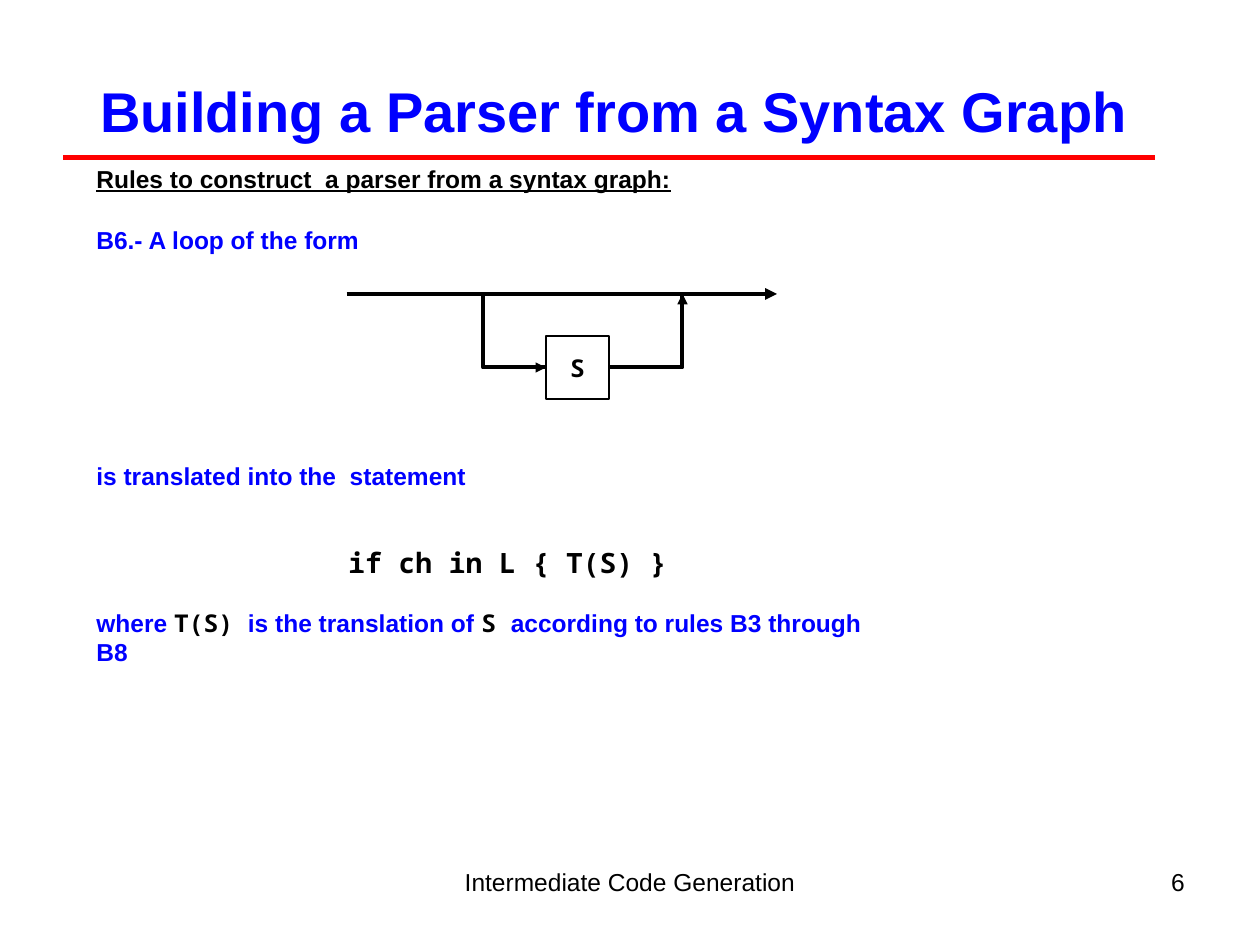
from lxml import etree
from pptx import Presentation
from pptx.dml.color import RGBColor
from pptx.enum.shapes import MSO_CONNECTOR, MSO_SHAPE
from pptx.enum.text import MSO_ANCHOR, PP_ALIGN
from pptx.oxml.ns import qn
from pptx.util import Pt

LINE, RECT = MSO_CONNECTOR.STRAIGHT, MSO_SHAPE.RECTANGLE
MID, TOP = MSO_ANCHOR.MIDDLE, MSO_ANCHOR.TOP
LEFT, MIDDLE, RIGHT = PP_ALIGN.LEFT, PP_ALIGN.CENTER, PP_ALIGN.RIGHT

HUES = {"blue": "0000FF", "red": "FF0000", "black": "000000", "white": "FFFFFF"}
SANS, MONO = "Arial", "Noto Sans Mono"

STYLES = {
    "title": (SANS, 32, "blue", True, False),
    "head": (SANS, 14, "black", True, True),
    "body": (SANS, 14, "blue", True, False),
    "code": (MONO, 16, "black", True, False),
    "term": (MONO, 14, "black", True, False),
    "foot": (SANS, 14, "black", False, False),
}

TITLE = [("Building a Parser from a Syntax Graph", "title")]
RULES = [
    (0, 0, [("Rules to construct  a parser from a syntax graph:", "head")]),
    (18, 0, [("B6.- A loop of the form ", "body")]),
    (118, 0, [("is translated into the  statement", "body")]),
    (32, 144, [("if ch in L { T(S) }", "code")]),
    (16, 0, [("where ", "body"), ("T(S) ", "term"),
             ("is the translation of ", "body"), ("S ", "term"),
             ("according to rules B3 through B8", "body")]),
]
FOOTS = [
    ((246, 492, 228, 37), MIDDLE, "Intermediate Code Generation"),
    ((516, 492, 168, 37), RIGHT, "6"),
]
LOOP = (276, 168, 114, 42)
NODE = 36


def color(name):
    return RGBColor.from_string(HUES[name])


def write(para, runs, align=LEFT):
    para.alignment = align
    for text, style in runs:
        face, size, hue, bold, under = STYLES[style]
        run = para.add_run()
        run.text = text
        font = run.font
        font.name, font.size = face, Pt(size)
        font.bold, font.underline = bold, under
        font.color.rgb = color(hue)


def add_text(box, wrap=True):
    frame = slide.shapes.add_textbox(*map(Pt, box)).text_frame
    frame.word_wrap = wrap
    frame.vertical_anchor = TOP
    return frame


def add_line(start, end, hue, width, arrow=False):
    line = slide.shapes.add_connector(LINE, *map(Pt, start + end))
    line.line.color.rgb = color(hue)
    line.line.width = Pt(width)
    if arrow:
        tail = etree.SubElement(line.line._get_or_add_ln(), qn("a:tailEnd"))
        tail.set("type", "triangle")
    etree.SubElement(line._element.spPr, qn("a:effectLst"))


def add_box(box, width, fill=None):
    shape = slide.shapes.add_shape(RECT, *map(Pt, box))
    shape.shadow.inherit = False
    shape.line.color.rgb = color("black")
    shape.line.width = Pt(width)
    if fill:
        shape.fill.solid()
        shape.fill.fore_color.rgb = color(fill)
    else:
        shape.fill.background()
    return shape


deck = Presentation()
deck.slide_width, deck.slide_height = Pt(720), Pt(540)
slide = deck.slides.add_slide(deck.slide_layouts[5])

title = slide.shapes.title
title.left, title.top, title.width, title.height = map(Pt, (18, 18, 666, 90))
title.text_frame.vertical_anchor = MID
write(title.text_frame.paragraphs[0], TITLE, MIDDLE)

for box, align, text in FOOTS:
    write(add_text(box).paragraphs[0], [(text, "foot")], align)

add_line((36, 90), (660, 90), "red", 3)

frame = add_text((48, 90, 473, 284), False)
for i, (gap, indent, runs) in enumerate(RULES):
    para = frame.add_paragraph() if i else frame.paragraphs[0]
    para.space_before = Pt(gap)
    write(para, runs)
    if indent:
        para._p.get_or_add_pPr().set("marL", str(Pt(indent)))

left, top, width, height = LOOP
right, base = left + width, top + height
edge = left + NODE
add_line((198, top), (444, top), "black", 2.25, True)
add_box(LOOP, 2.25)
node = add_box((edge, base - NODE / 2, NODE, NODE), 0.75, "white")
node.text_frame.word_wrap = False
node.text_frame.vertical_anchor = MID
write(node.text_frame.paragraphs[0], [("S", "term")], MIDDLE)
add_line((right, top + 12), (right, top), "black", 0.75, True)
add_line((edge - 18, base), (edge, base), "black", 0.75, True)

deck.save("out.pptx")
